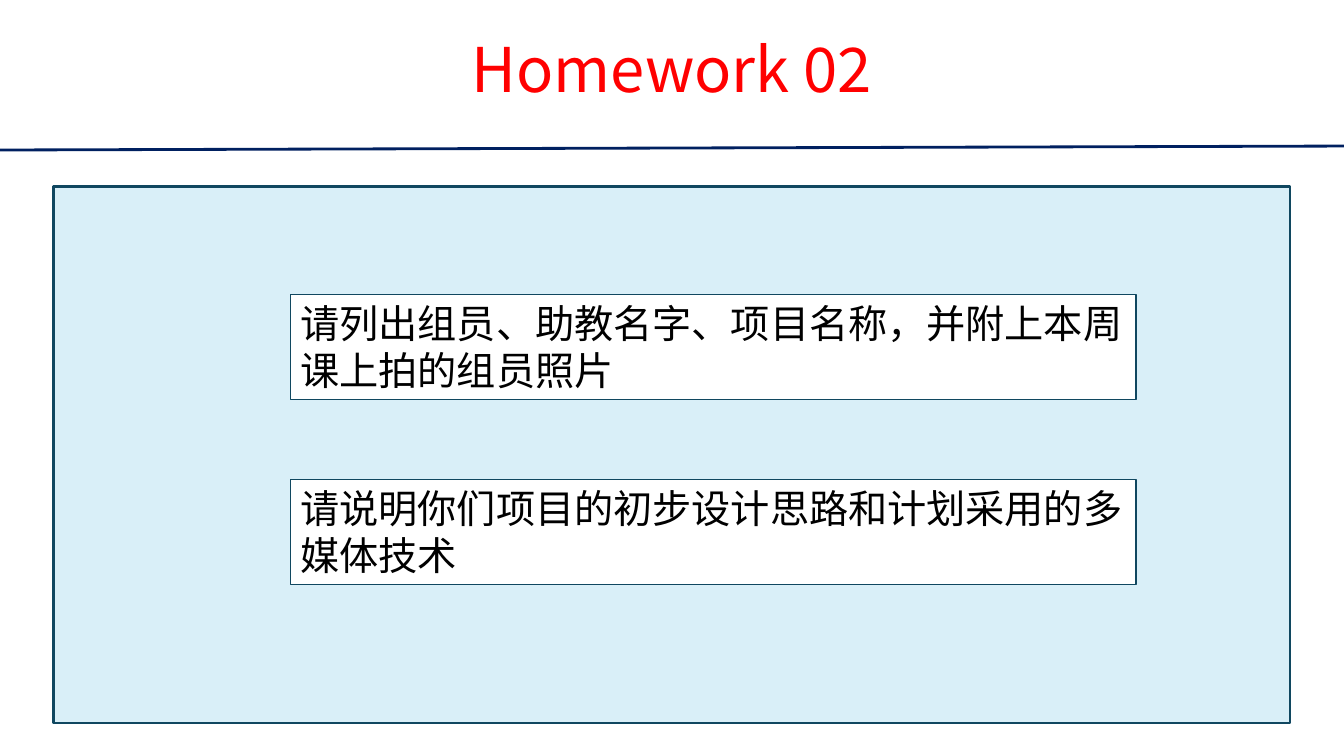
from lxml.etree import SubElement
from pptx import Presentation
from pptx.dml.color import RGBColor
from pptx.enum.shapes import MSO_CONNECTOR, MSO_SHAPE
from pptx.enum.text import MSO_ANCHOR, MSO_AUTO_SIZE, PP_ALIGN
from pptx.oxml.ns import qn
from pptx.util import Cm, Pt

FONT = "Noto Sans CJK SC"
RED = RGBColor(0xFF, 0x00, 0x00)
NAVY = RGBColor(0x00, 0x20, 0x60)
TEAL = RGBColor(0x10, 0x47, 0x60)
SKY = RGBColor(0x83, 0xCB, 0xEB)
WHITE = RGBColor(0xFF, 0xFF, 0xFF)
BLACK = RGBColor(0x00, 0x00, 0x00)

TASKS = [
    "请列出组员、助教名字、项目名称，并附上本周课上拍的组员照片",
    "请说明你们项目的初步设计思路和计划采用的多媒体技术",
]


def write(frame, text, size, color, align):
    para = frame.paragraphs[0]
    para.text = text
    para.alignment = align
    font = para.font
    font.size, font.name = Pt(size), FONT
    font.color.rgb = color
    # Chinese characters take their typeface from a:ea
    SubElement(para._p.pPr.find(qn("a:defRPr")), qn("a:ea"), typeface=FONT)
    return para


def add_box(left, top, width, height, fill, line_width):
    box = page.shapes.add_shape(
        MSO_SHAPE.RECTANGLE, Cm(left), Cm(top), Cm(width), Cm(height))
    box.shadow.inherit = False
    box.fill.solid()
    box.fill.fore_color.rgb = fill
    box.line.color.rgb = TEAL
    box.line.width = Pt(line_width)
    return box


deck = Presentation()
deck.slide_width, deck.slide_height = Cm(33.87), Cm(19.05)
page = deck.slides.add_slide(deck.slide_layouts[5])

title = page.shapes.title
title.left, title.top, title.width, title.height = Cm(0), Cm(0), Cm(33.87), Cm(3.68)
title.text_frame.vertical_anchor = MSO_ANCHOR.MIDDLE
heading = write(title.text_frame, "Homework 02", 44, RED, PP_ALIGN.CENTER)
heading.line_spacing = 0.9

rule = page.shapes.add_connector(
    MSO_CONNECTOR.STRAIGHT, Cm(0), Cm(3.78), Cm(33.87), Cm(3.68))
rule.line.color.rgb = NAVY
rule.line.width = Pt(2)
SubElement(rule._element.spPr, qn("a:effectLst"))

panel = add_box(1.35, 4.7, 31.17, 13.51, SKY, 1.5)
panel_color = panel._element.spPr.find(qn("a:solidFill"))[0]
SubElement(panel_color, qn("a:alpha"), val="30000")

for row, task in enumerate(TASKS):
    box = add_box(7.32, 7.41 + row * 4.68, 21.31, 2.65, WHITE, 0.75)
    frame = box.text_frame
    frame.word_wrap = True
    frame.auto_size = MSO_AUTO_SIZE.SHAPE_TO_FIT_TEXT
    frame.vertical_anchor = MSO_ANCHOR.TOP
    write(frame, task, 28, BLACK, PP_ALIGN.LEFT)

deck.save("out.pptx")
